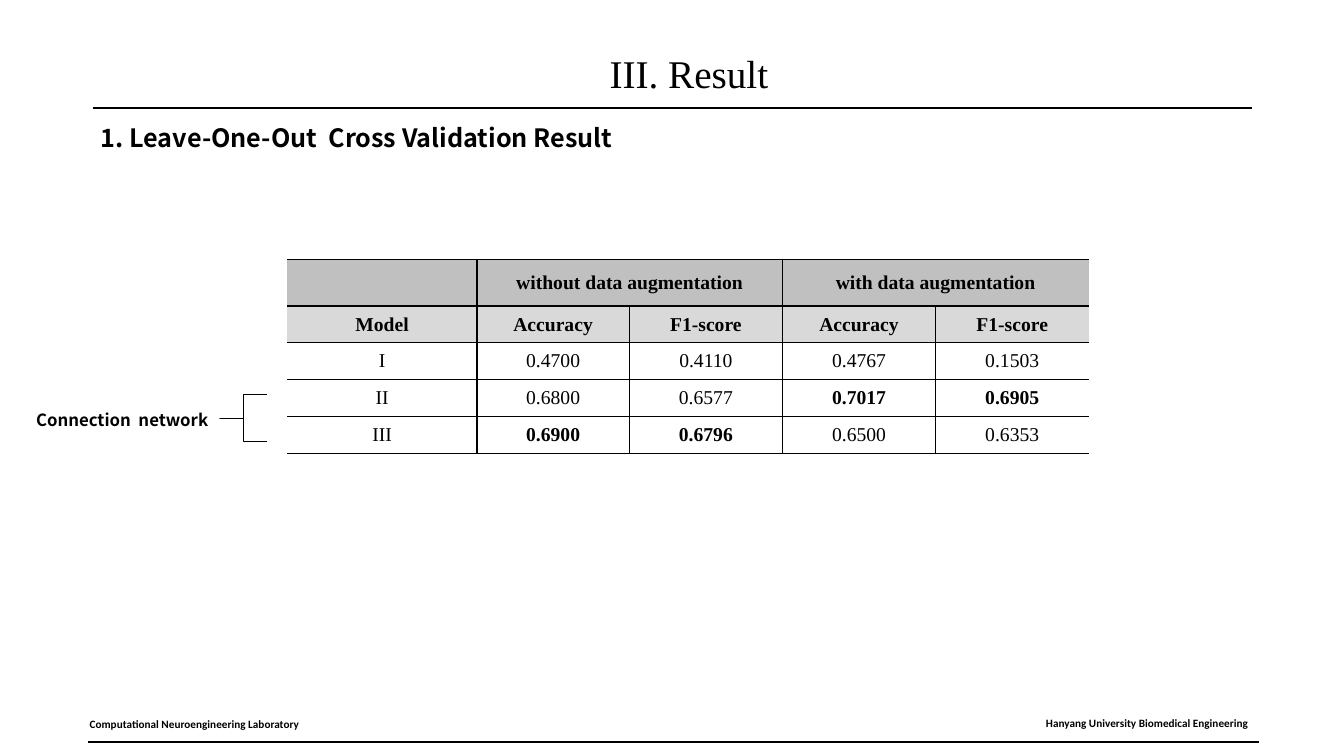
from lxml import etree
from pptx import Presentation
from pptx.dml.color import RGBColor
from pptx.enum.shapes import MSO_CONNECTOR, MSO_SHAPE
from pptx.enum.text import MSO_ANCHOR, PP_ALIGN
from pptx.oxml import parse_xml
from pptx.oxml.ns import nsdecls, qn
from pptx.util import Cm, Pt

BLACK = "000000"
SERIF, SANS = "Times New Roman", "Noto Sans CJK KR"


def rgb(value):
    return RGBColor.from_string(value)


def write(tf, text, size, name, bold=False, align=PP_ALIGN.LEFT):
    tf.text = text
    p = tf.paragraphs[0]
    p.alignment = align
    for r in p.runs:
        r.font.size = Pt(size)
        r.font.name = name
        r.font.bold = bold
        r.font.color.rgb = rgb(BLACK)
        for tag in ("a:ea", "a:cs"):
            etree.SubElement(r.font._element, qn(tag)).set("typeface", name)


prs = Presentation()
prs.slide_width, prs.slide_height = Cm(33.87), Cm(19.05)
s = prs.slides.add_slide(prs.slide_layouts[5])

title = s.shapes.title
title.left, title.top, title.width, title.height = Cm(2.54), Cm(0.53), Cm(29.64), Cm(2.59)
title.text_frame.vertical_anchor = MSO_ANCHOR.MIDDLE
write(title.text_frame, "III. Result", 28, SERIF, align=PP_ALIGN.CENTER)

labels = [
    ("Computational Neuroengineering Laboratory", 2.01, 17.96, 29.46, 0.61, 8, "Calibri", True),
    ("Hanyang University Biomedical Engineering", 26.11, 17.93, 6.02, 0.61, 8, "Calibri", False),
    ("1. Leave-One-Out  Cross Validation Result", 2.29, 2.97, 15.8, 1.02, 18, SANS, True),
    ("Connection  network", 0.66, 10.19, 5.59, 0.76, 12, SANS, True),
]
for text, x, y, w, h, size, name, wrap in labels:
    tf = s.shapes.add_textbox(Cm(x), Cm(y), Cm(w), Cm(h)).text_frame
    tf.word_wrap = wrap
    write(tf, text, size, name, bold=True)

for x1, x2, y in [(2.34, 31.55, 2.72), (2.21, 31.72, 18.69)]:
    rule = s.shapes.add_connector(MSO_CONNECTOR.STRAIGHT, Cm(x1), Cm(y), Cm(x2), Cm(y))
    rule.line.color.rgb = rgb(BLACK)
    rule.line.width = Pt(1.25)
    etree.SubElement(rule._element.spPr, qn("a:effectLst"))

brace = s.shapes.add_shape(MSO_SHAPE.LEFT_BRACE, Cm(5.54), Cm(9.93), Cm(1.19), Cm(1.19))
brace.adjustments[0], brace.adjustments[1] = 0, 0.52
brace.shadow.inherit = False
brace.fill.background()
brace.line.color.rgb = rgb(BLACK)
brace.line.width = Pt(0.75)

rows = [
    ["", "without data augmentation", "", "with data augmentation", ""],
    ["Model", "Accuracy", "F1-score", "Accuracy", "F1-score"],
    ["I", "0.4700", "0.4110", "0.4767", "0.1503"],
    ["II", "0.6800", "0.6577", "0.7017", "0.6905"],
    ["III", "0.6900", "0.6796", "0.6500", "0.6353"],
]
best = {"0.6900", "0.6796", "0.7017", "0.6905"}
header_fills = ["C0C0C0", "D9D9D9"]

table = s.shapes.add_table(5, 5, Cm(7.24), Cm(6.53), Cm(20.19), Cm(4.9)).table
table.first_row = table.horz_banding = False
for column, width in zip(table.columns, [4.78, 3.84, 3.86, 3.86, 3.86]):
    column.width = Cm(width)
for row, height in zip(table.rows, [1.18, 0.93, 0.93, 0.93, 0.93]):
    row.height = Cm(height)
for first in (1, 3):
    table.cell(0, first).merge(table.cell(0, first + 1))

for i, values in enumerate(rows):
    for j, value in enumerate(values):
        cell = table.cell(i, j)
        cell.vertical_anchor = MSO_ANCHOR.MIDDLE
        last = j + (cell.span_width if cell.is_merge_origin else 1) == 5
        open_sides = {"L": j == 0, "R": last}
        tcPr = cell._tc.get_or_add_tcPr()
        for side in "LRTB":
            paint = "<a:noFill/>"
            if not open_sides.get(side):
                paint = f'<a:solidFill><a:srgbClr val="{BLACK}"/></a:solidFill>'
            tcPr.append(parse_xml(f'<a:ln{side} {nsdecls("a")} w="12700">{paint}</a:ln{side}>'))
        if i < 2:
            cell.fill.solid()
            cell.fill.fore_color.rgb = rgb(header_fills[i])
        else:
            cell.fill.background()
        if value:
            write(cell.text_frame, value, 14, SERIF, i < 2 or value in best, PP_ALIGN.CENTER)

prs.save("out.pptx")
